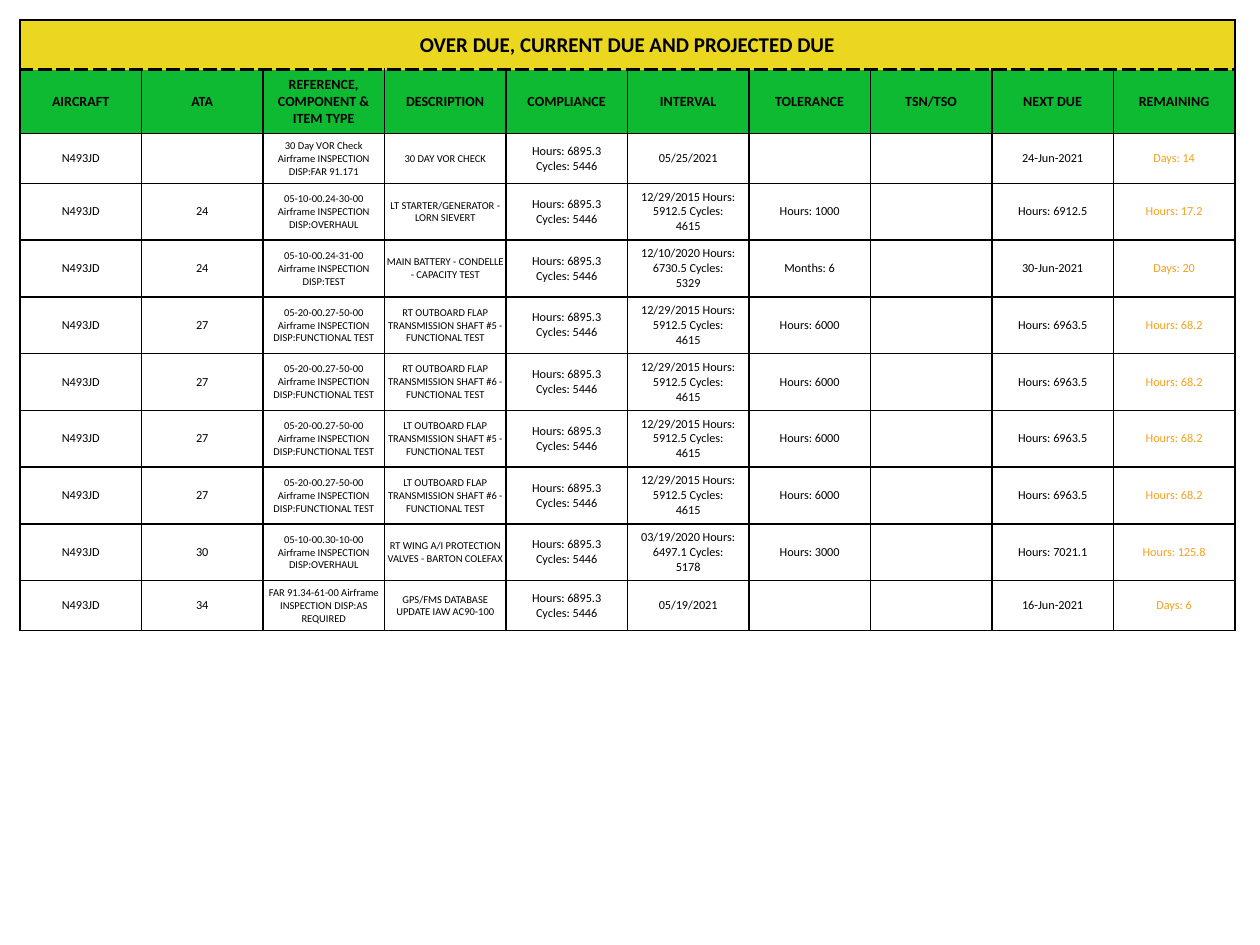
from dataclasses import dataclass, replace

from lxml import etree
from pptx import Presentation
from pptx.dml.color import RGBColor
from pptx.enum.text import MSO_ANCHOR, PP_ALIGN
from pptx.oxml.ns import qn
from pptx.table import _Cell
from pptx.util import Emu, Pt

CENTER = PP_ALIGN.CENTER
MIDDLE = MSO_ANCHOR.MIDDLE
PX_PER_INCH = 126
ROW_HEIGHT = 50
TABLE_LEFT = TABLE_TOP = 20
TABLE_WIDTH = 1215
BLACK, YELLOW, GREEN, ORANGE = "000000", "EAD40E", "0DBA32", "F39C12"
AIRCRAFT = "N493JD"
COMPLIANCE = "Hours: 6895.3 Cycles: 5446"
TITLE = "OVER DUE, CURRENT DUE AND PROJECTED DUE"
HEADINGS = (
    "AIRCRAFT", "ATA", "REFERENCE, COMPONENT & ITEM TYPE", "DESCRIPTION", "COMPLIANCE",
    "INTERVAL", "TOLERANCE", "TSN/TSO", "NEXT DUE", "REMAINING",
)


@dataclass(frozen=True)
class Border:
    width: int = 1
    dash: str = "solid"


@dataclass(frozen=True)
class CellStyle:
    size: int = 7
    bold: bool = False
    color: str = BLACK
    opacity: int = 100
    fill: str = ""
    fill_opacity: int = 100
    margin_x: int = 6
    margin_y: int = 6
    indent: int = 6
    top: Border = Border()
    bottom: Border = Border()


@dataclass(frozen=True)
class DueItem:
    ata: str
    reference: str
    description: str
    interval: str
    tolerance: str
    next_due: str
    remaining: str

    def cells(self) -> tuple[str, ...]:
        return (AIRCRAFT, self.ata, self.reference, self.description, COMPLIANCE,
                self.interval, self.tolerance, "", self.next_due, self.remaining)


TITLE_STYLE = CellStyle(size=12, bold=True, fill=YELLOW, fill_opacity=92, margin_x=0,
                        margin_y=10, indent=0, bottom=Border(1, "dash"))
HEADING_STYLE = CellStyle(size=8, bold=True, fill=GREEN, top=Border(2, "dash"))
BODY_STYLE = CellStyle()
DETAIL_STYLE = CellStyle(size=6, margin_x=1, margin_y=1, indent=1)
REMAINING_STYLE = replace(BODY_STYLE, color=ORANGE, opacity=95)
COLUMN_STYLES = (BODY_STYLE, BODY_STYLE, DETAIL_STYLE, DETAIL_STYLE, BODY_STYLE,
                 BODY_STYLE, BODY_STYLE, BODY_STYLE, BODY_STYLE, REMAINING_STYLE)

FLAP_ITEMS = [
    DueItem("27", "05-20-00.27-50-00 Airframe INSPECTION DISP:FUNCTIONAL TEST",
            f"{side} OUTBOARD FLAP TRANSMISSION SHAFT #{number} - FUNCTIONAL TEST",
            "12/29/2015 Hours: 5912.5 Cycles: 4615", "Hours: 6000", "Hours: 6963.5", "Hours: 68.2")
    for side in ("RT", "LT") for number in (5, 6)
]
DUE_ITEMS = [
    DueItem("", "30 Day VOR Check Airframe INSPECTION DISP:FAR 91.171", "30 DAY VOR CHECK",
            "05/25/2021", "", "24-Jun-2021", "Days: 14"),
    DueItem("24", "05-10-00.24-30-00 Airframe INSPECTION DISP:OVERHAUL",
            "LT STARTER/GENERATOR - LORN SIEVERT", "12/29/2015 Hours: 5912.5 Cycles: 4615",
            "Hours: 1000", "Hours: 6912.5", "Hours: 17.2"),
    DueItem("24", "05-10-00.24-31-00 Airframe INSPECTION DISP:TEST",
            "MAIN BATTERY - CONDELLE - CAPACITY TEST", "12/10/2020 Hours: 6730.5 Cycles: 5329",
            "Months: 6", "30-Jun-2021", "Days: 20"),
    *FLAP_ITEMS,
    DueItem("30", "05-10-00.30-10-00 Airframe INSPECTION DISP:OVERHAUL",
            "RT WING A/I PROTECTION VALVES - BARTON COLEFAX",
            "03/19/2020 Hours: 6497.1 Cycles: 5178", "Hours: 3000", "Hours: 7021.1", "Hours: 125.8"),
    DueItem("34", "FAR 91.34-61-00 Airframe INSPECTION DISP:AS REQUIRED",
            "GPS/FMS DATABASE UPDATE IAW AC90-100", "05/19/2021", "", "16-Jun-2021", "Days: 6"),
]


def px(length: int) -> Emu:
    return Emu(round(length * 914400 / PX_PER_INCH))


def rgb(color: str) -> RGBColor:
    return RGBColor.from_string(color)


def set_opacity(element: etree._Element, percent: int) -> None:
    if percent < 100:
        color = element.find(".//" + qn("a:srgbClr"))
        etree.SubElement(color, qn("a:alpha"), val=str(percent * 1000))


def draw_borders(cell: _Cell, style: CellStyle) -> None:
    properties = cell._tc.get_or_add_tcPr()
    edges = {"a:lnL": Border(), "a:lnR": Border(), "a:lnT": style.top, "a:lnB": style.bottom}
    for position, (tag, border) in enumerate(edges.items()):
        line = etree.Element(qn(tag), w=str(Pt(border.width)))
        paint = etree.SubElement(line, qn("a:solidFill"))
        etree.SubElement(paint, qn("a:srgbClr"), val=BLACK)
        etree.SubElement(line, qn("a:prstDash"), val=border.dash)
        properties.insert(position, line)


def format_cell(cell: _Cell, style: CellStyle) -> None:
    layout = {
        "vertical_anchor": MIDDLE,
        "margin_left": px(style.margin_x), "margin_right": px(style.margin_x),
        "margin_top": px(style.margin_y), "margin_bottom": px(style.margin_y),
    }
    for attribute, value in layout.items():
        setattr(cell, attribute, value)
    if style.fill:
        cell.fill.solid()
        cell.fill.fore_color.rgb = rgb(style.fill)
        set_opacity(cell._tc.tcPr, style.fill_opacity)
    else:
        cell.fill.background()
    draw_borders(cell, style)


def write_cell(cell: _Cell, text: str, style: CellStyle) -> None:
    paragraph = cell.text_frame.paragraphs[0]
    paragraph.alignment = CENTER
    paragraph_properties = paragraph._p.get_or_add_pPr()
    for side in ("marL", "marR"):
        paragraph_properties.set(side, str(px(style.indent)))
    run = paragraph.add_run()
    run.text = text
    for attribute, value in {"name": "Calibri", "size": Pt(style.size), "bold": style.bold}.items():
        setattr(run.font, attribute, value)
    run.font.color.rgb = rgb(style.color)
    set_opacity(run._r.rPr, style.opacity)


def main() -> None:
    presentation = Presentation()
    presentation.slide_width, presentation.slide_height = px(1260), px(945)
    slide = presentation.slides.add_slide(presentation.slide_layouts[6])

    blanks = ("",) * (len(HEADINGS) - 1)
    rows = [
        ((TITLE, *blanks), (TITLE_STYLE,) * len(HEADINGS)),
        (HEADINGS, (HEADING_STYLE,) * len(HEADINGS)),
        *((item.cells(), COLUMN_STYLES) for item in DUE_ITEMS),
    ]
    due_list = slide.shapes.add_table(
        len(rows), len(HEADINGS), px(TABLE_LEFT), px(TABLE_TOP),
        px(TABLE_WIDTH), px(ROW_HEIGHT * len(rows))).table
    due_list.first_row = due_list.horz_banding = False
    for column in due_list.columns:
        column.width = px(TABLE_WIDTH) // len(HEADINGS)

    for row_index, (texts, styles) in enumerate(rows):
        due_list.rows[row_index].height = px(ROW_HEIGHT)
        for column_index, (text, style) in enumerate(zip(texts, styles)):
            cell = due_list.cell(row_index, column_index)
            format_cell(cell, style if text else replace(style, margin_x=1, margin_y=1))
            if text:
                write_cell(cell, text, style)
    due_list.cell(0, 0).merge(due_list.cell(0, len(HEADINGS) - 1))

    presentation.save("out.pptx")


if __name__ == "__main__":
    main()
